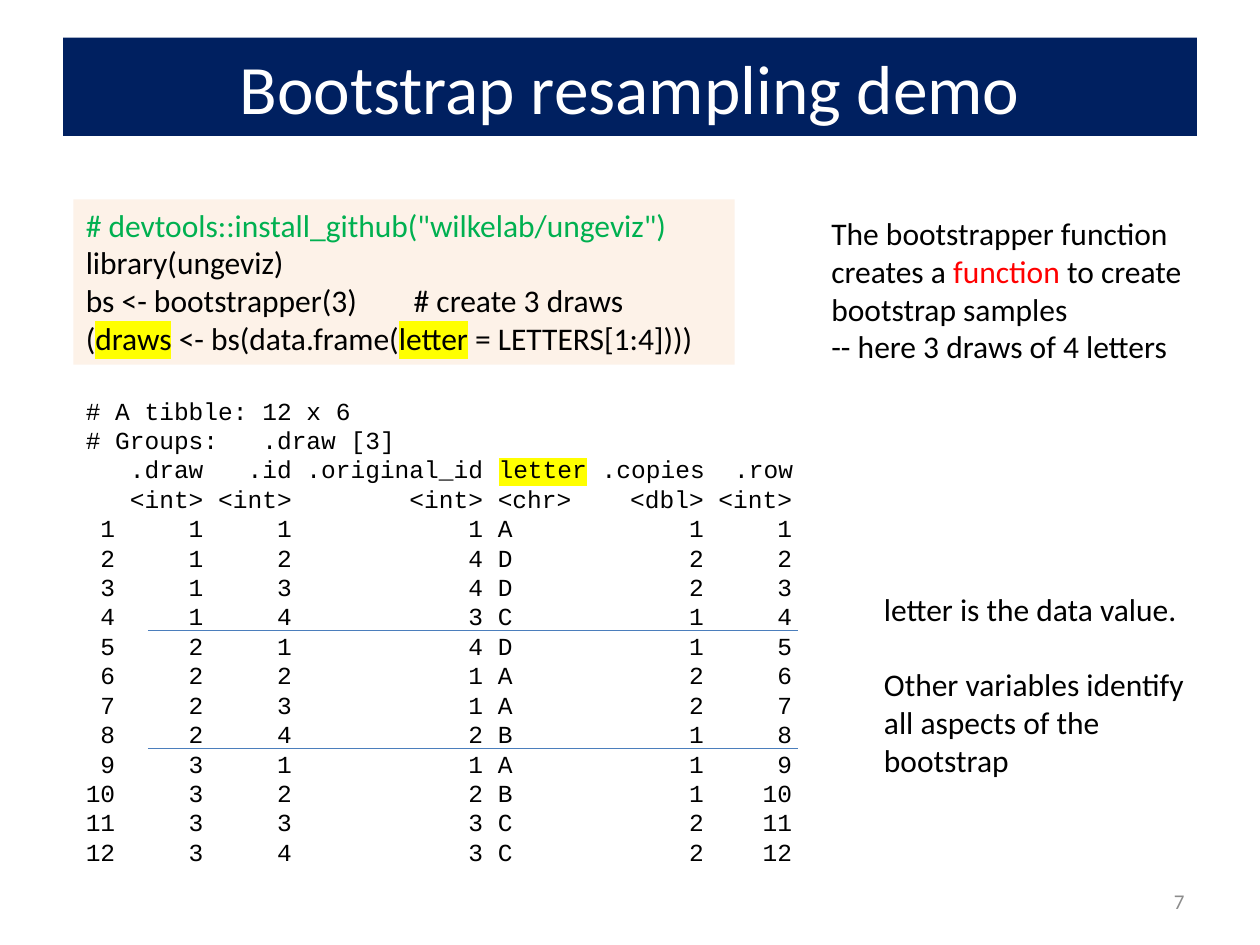
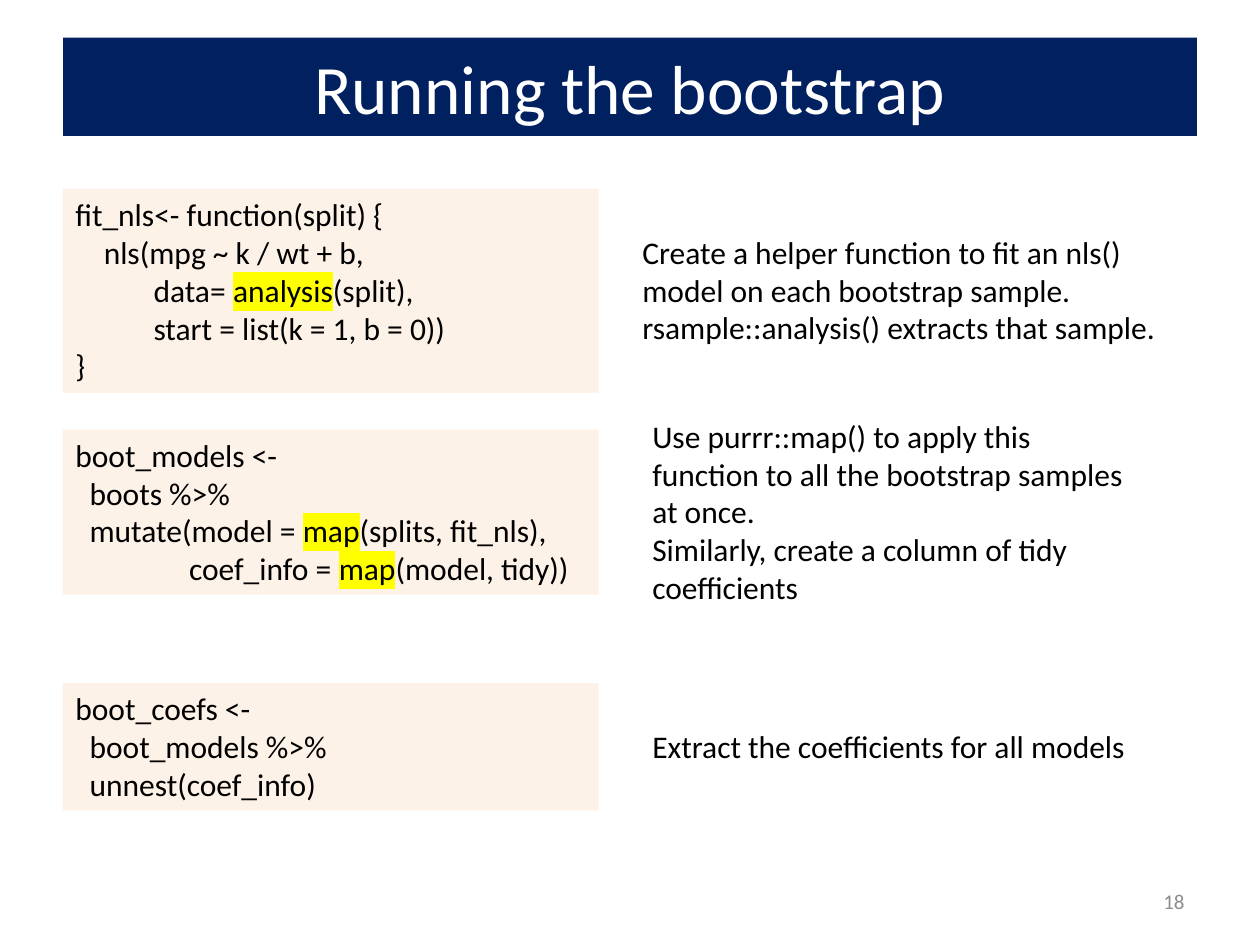
import lxml.etree
import pptx
import pptx.dml.color
import pptx.enum.shapes
import pptx.enum.text
import pptx.oxml.ns
import pptx.util

Cm, Pt = pptx.util.Cm, pptx.util.Pt
ALIGN = pptx.enum.text.PP_ALIGN
ANCHOR = pptx.enum.text.MSO_ANCHOR
SHAPE = pptx.enum.shapes.MSO_SHAPE
CONNECTOR = pptx.enum.shapes.MSO_CONNECTOR

COLORS = {
    "band": "002060", "title": "FFFFFF", "text": "000000", "number": "8C8C8C",
    "code": "FDEADA", "mark": "FFFF00", "comment": "00B050", "key": "FF0000",
    "rule": "4B7EBC",
}
SANS, MONO = "Calibri", "Courier New"
TITLE_BOX = (1.27, 0.76, 22.86, 1.98)
NUMBER_BOX = (18.21, 17.65, 5.92, 1.02)
ROW_H = 0.595  # line height of the printed tibble, in cm
HEADER_LINES, DRAW_SIZE = 4, 4


def rgb(name):
    return pptx.dml.color.RGBColor.from_string(COLORS[name])


def add_xml(parent, tag, **attrs):
    return lxml.etree.SubElement(parent, pptx.oxml.ns.qn(tag), attrs)


def place(box):
    return [Cm(v) for v in box]


def add_run(p, text, size, color="text", font=SANS, marked=False):
    r = p.add_run()
    r.text = text
    r.font.size = Pt(size)
    r.font.color.rgb = rgb(color)
    if marked:
        highlight = add_xml(r.font._element, "a:highlight")
        add_xml(highlight, "a:srgbClr", val=COLORS["mark"])
    r.font.name = font


def fill_text(sp, lines, size=18, font=SANS, gap=0, align=ALIGN.LEFT,
              anchor=ANCHOR.TOP, color="text"):
    """Write lines; a line is a string or a list of strings and (text, style) pairs."""
    tf = sp.text_frame
    tf.word_wrap = True
    tf.vertical_anchor = anchor
    for i, line in enumerate(lines):
        p = tf.paragraphs[0] if i == 0 else tf.add_paragraph()
        p.alignment = align
        if i and gap:
            p.space_before = Pt(gap)
        for part in [line] if isinstance(line, str) else line:
            text, style = (part, color) if isinstance(part, str) else part
            marked = style == "mark"
            add_run(p, text, size, color if marked else style, font, marked)


def add_text(shapes, box, lines, **style):
    fill_text(shapes.add_textbox(*place(box)), lines, **style)


def add_code(shapes, box, lines):
    sp = shapes.add_shape(SHAPE.RECTANGLE, *place(box))
    sp.shadow.inherit = False
    sp.line.fill.background()
    sp.fill.solid()
    sp.fill.fore_color.rgb = rgb("code")
    fill = sp._element.spPr.find(pptx.oxml.ns.qn("a:solidFill"))
    add_xml(fill[0], "a:alpha", val="60000")
    fill_text(sp, lines)


def add_rule(shapes, x1, x2, y):
    line = shapes.add_connector(CONNECTOR.STRAIGHT, Cm(x1), Cm(y), Cm(x2), Cm(y))
    line.line.color.rgb = rgb("rule")
    line.line.width = Pt(0.75)
    add_xml(line._element.spPr, "a:effectLst")


def add_titled_slide(prs, title, number):
    slide = prs.slides.add_slide(prs.slide_layouts[5])
    sp = slide.shapes.title
    sp.left, sp.top, sp.width, sp.height = place(TITLE_BOX)
    sp.fill.solid()
    sp.fill.fore_color.rgb = rgb("band")
    fill_text(sp, [title], size=39.6, color="title", align=ALIGN.CENTER,
              anchor=ANCHOR.MIDDLE)
    add_text(slide.shapes, NUMBER_BOX, [str(number)], size=12, color="number",
             align=ALIGN.RIGHT, anchor=ANCHOR.MIDDLE)
    return slide


def add_tibble(shapes, box):
    """Print the resampled rows, with a rule after each draw but the last."""
    left, top, _, _ = box
    samples = [  # original id, letter, copies
        (1, "A", 1), (4, "D", 2), (4, "D", 2), (3, "C", 1),
        (4, "D", 1), (1, "A", 2), (1, "A", 2), (2, "B", 1),
        (1, "A", 1), (2, "B", 1), (3, "C", 2), (3, "C", 2),
    ]
    lines = [
        "# A tibble: 12 x 6",
        "# Groups:   .draw [3]",
        ["   .draw   .id .original_id ", ("letter", "mark"), " .copies  .row"],
        "   <int> <int>        <int> <chr>    <dbl> <int>",
    ]
    for i, (original, letter, copies) in enumerate(samples):
        draw, item = divmod(i, DRAW_SIZE)
        lines.append(f"{i + 1:>2}{draw + 1:>6}{item + 1:>6}{original:>13} "
                     f"{letter}{copies:>13}{i + 1:>6}")
    add_text(shapes, box, lines, size=14, font=MONO)
    for rows in range(DRAW_SIZE, len(samples), DRAW_SIZE):
        y = top + 0.1 + (HEADER_LINES + rows) * ROW_H
        add_rule(shapes, left + 1.5, left + 14.6, y)


def add_step(slide, code_box, code, note_box, note):
    """Group a code block with the note that explains it."""
    shapes = slide.shapes.add_group_shape().shapes
    add_code(shapes, code_box, code)
    add_text(shapes, note_box, note)


def build_demo(prs):
    slide = add_titled_slide(prs, "Bootstrap resampling demo", 7)
    add_code(slide.shapes, (1.48, 4.02, 13.33, 3.33), [
        [('# devtools::install_github("wilkelab/ungeviz")', "comment")],
        "library(ungeviz)",
        "bs <- bootstrapper(3)        # create 3 draws",
        ["(", ("draws", "mark"), " <- bs(data.frame(", ("letter", "mark"),
         " = LETTERS[1:4])))"],
    ])
    add_tibble(slide.shapes, (1.48, 7.85, 16.3, 9.83))
    add_text(slide.shapes, (16.51, 4.19, 7.62, 3.33), [
        ["The bootstrapper function creates a ", ("function", "key"),
         " to create bootstrap samples"],
        "-- here 3 draws of 4 letters",
    ])
    add_text(slide.shapes, (17.57, 11.76, 6.56, 4.11), [
        "letter is the data value.",
        "Other variables identify all aspects of the bootstrap",
    ], gap=21.6)


def build_running(prs):
    slide = add_titled_slide(prs, "Running the bootstrap", 18)
    code_left, code_w = 1.27, 10.8
    note_left, note_w = 12.9, 10.36
    add_step(slide, (code_left, 3.81, code_w, 4.11), [
        "fit_nls<- function(split) {",
        "    nls(mpg ~ k / wt + b,",
        ["           data= ", ("analysis", "mark"), "(split),"],
        "           start = list(k = 1, b = 0))",
        "}",
    ], (12.7, 4.57, 11.43, 2.57), [
        "Create a helper function to fit an nls() model on each bootstrap sample.",
        "rsample::analysis() extracts that sample.",
    ])
    add_step(slide, (code_left, 8.66, code_w, 3.33), [
        "boot_models <-",
        "  boots %>%",
        ["  mutate(model = ", ("map", "mark"), "(splits, fit_nls),"],
        ["                coef_info = ", ("map", "mark"), "(model, tidy))"],
    ], (note_left, 8.28, note_w, 4.11), [
        "Use purrr::map() to apply this function to all the bootstrap samples at once.",
        "Similarly, create a column of tidy coefficients",
    ])
    add_step(slide, (code_left, 13.77, code_w, 2.57), [
        "boot_coefs <-",
        "  boot_models %>%",
        "  unnest(coef_info)",
    ], (note_left, 14.53, note_w, 1.02), [
        "Extract the coefficients for all models",
    ])


def main():
    prs = pptx.Presentation()
    prs.slide_width, prs.slide_height = Cm(25.4), Cm(19.05)
    build_demo(prs)
    build_running(prs)
    prs.save("out.pptx")


if __name__ == "__main__":
    main()
